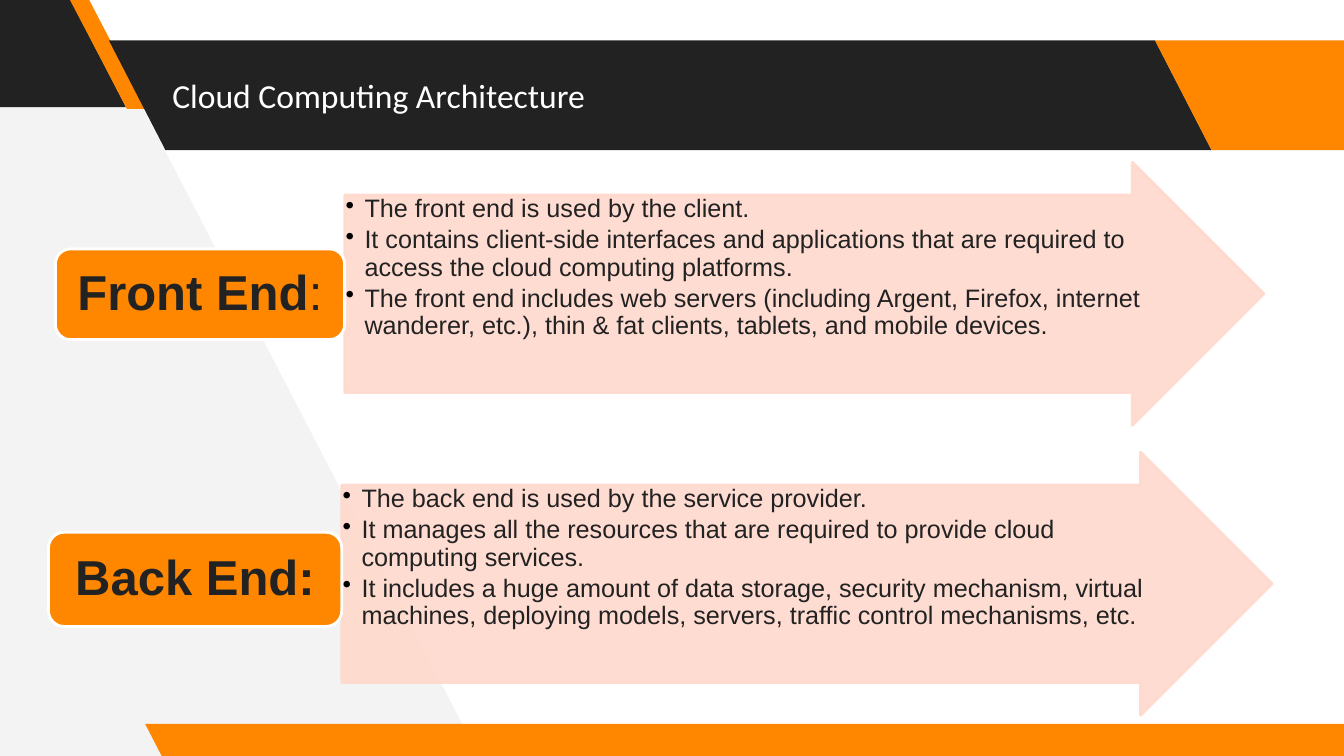
from pptx import Presentation
from pptx.dml.color import RGBColor
from pptx.enum.shapes import MSO_SHAPE as Kind
from pptx.enum.text import MSO_ANCHOR as Anchor, PP_ALIGN as Align
from pptx.oxml.ns import qn
from pptx.util import Pt
from lxml.etree import SubElement as sub

DARK, ORANGE, PEACH, GREY, WHITE = "222222", "FF8700", "FFD9CC", "F3F3F3", "FFFFFF"

FRONT = [
    "The front end is used by the client.",
    "It contains client-side interfaces and applications that are required to "
    "access the cloud computing platforms.",
    "The front end includes web servers (including Argent, Firefox, internet "
    "wanderer, etc.), thin & fat clients, tablets, and mobile devices.",
]
BACK = [
    "The back end is used by the service provider.",
    "It manages all the resources that are required to provide cloud computing services.",
    "It includes a huge amount of data storage, security mechanism, virtual "
    "machines, deploying models, servers, traffic control mechanisms, etc.",
]


def color(code):
    return RGBColor.from_string(code)


def paint(shape, fill, line=None):
    shape.shadow.inherit = False
    shape.fill.solid()
    shape.fill.fore_color.rgb = color(fill)
    if line:
        shape.line.color.rgb = color(line)
        shape.line.width = Pt(2)
    else:
        shape.line.fill.background()


def add_shape(slide, kind, box, fill, line=None):
    shape = slide.shapes.add_shape(kind, *map(Pt, box))
    paint(shape, fill, line)
    return shape


def add_slant(slide, box, fill, slope=0.515):
    """Add a parallelogram that leans to the left."""
    shape = add_shape(slide, Kind.PARALLELOGRAM, box, fill)
    shape.adjustments[0] = slope
    shape._element.spPr.find(qn("a:xfrm")).set("flipH", "1")


def add_wedge(slide):
    """Add the pale area along the left edge."""
    form = slide.shapes.build_freeform(Pt(342), Pt(540))
    form.add_line_segments([(Pt(x), Pt(y)) for x, y in [(60, -4), (-6, -4), (-2, 544)]])
    paint(form.convert_to_shape(), GREY)


def style(run, size, name, code, bold=False):
    font = run.font
    font.size, font.name, font.bold = Pt(size), name, bold
    font.color.rgb = color(code)


def set_frame(shape, inset, anchor):
    frame = shape.text_frame
    frame.word_wrap = True
    frame.vertical_anchor = anchor
    frame.margin_left = frame.margin_right = Pt(inset)
    frame.margin_top = frame.margin_bottom = Pt(inset)
    return frame


def add_box(slide, box, inset, anchor):
    return set_frame(slide.shapes.add_textbox(*map(Pt, box)), inset, anchor)


def add_title(slide, text):
    frame = add_box(slide, (116, 28.8, 706, 78.5), 7.2, Anchor.MIDDLE)
    frame.text = text
    style(frame.paragraphs[0].runs[0], 24, "Calibri", WHITE)


def add_bullet(para):
    props = para._p.get_or_add_pPr()
    props.set("marL", str(Pt(13.5)))
    props.set("indent", str(-Pt(13.5)))
    sub(sub(props, qn("a:buClr")), qn("a:srgbClr")).set("val", "000000")
    sub(props, qn("a:buChar")).set("char", "•")


def add_arrow(slide, left, top, width, items):
    high = 187.9
    arrow = add_shape(slide, Kind.RIGHT_ARROW, (left, top, width, high), PEACH, PEACH)
    arrow.adjustments[0] = 0.75
    for tone in arrow._element.spPr.iter(qn("a:srgbClr")):
        sub(tone, qn("a:alpha")).set("val", "90000")
    box = left, top + high / 8, width - 70, high * 0.75
    frame = add_box(slide, box, 0.7, Anchor.TOP)
    frame.text = "\n".join(items)
    for para in frame.paragraphs:
        para.line_spacing = 0.9
        para.space_after = Pt(2.7)
        add_bullet(para)
        style(para.runs[0], 18, "Arial", DARK)


def add_label(slide, box, text, tail=""):
    """Add a rounded label; the tail is set in regular weight."""
    shape = add_shape(slide, Kind.ROUNDED_RECTANGLE, box, ORANGE, WHITE)
    frame = set_frame(shape, 5, Anchor.MIDDLE)
    frame.text = text
    para = frame.paragraphs[0]
    para.alignment = Align.CENTER
    para.line_spacing = 0.9
    style(para.runs[0], 35, "Arial", DARK, True)
    if tail:
        run = para.add_run()
        run.text = tail
        style(run, 35, "Arial", DARK)


def main():
    deck = Presentation()
    deck.slide_width, deck.slide_height = Pt(960), Pt(540)
    slide = deck.slides.add_slide(deck.slide_layouts[6])

    add_wedge(slide)
    add_slant(slide, (-95, -2, 185, 78.5), DARK)
    add_slant(slide, (49.7, -0.7, 54.7, 78.5), ORANGE, 0.75)
    add_slant(slide, (77.8, 28.8, 787.7, 78.5), DARK)
    add_slant(slide, (825, 28.8, 185, 78.5), ORANGE)
    add_slant(slide, (103.7, 517, 878.4, 23.8), ORANGE)
    add_title(slide, "Cloud Computing Architecture")

    add_arrow(slide, 246.2, 115.9, 656.6, FRONT)
    add_label(slide, (39.6, 177.8, 206.6, 64.8), "Front End", ":")
    add_arrow(slide, 244.1, 323, 664.6, BACK)
    add_label(slide, (34.6, 380.2, 209.5, 67.3), "Back End:")

    deck.save("out.pptx")


if __name__ == "__main__":
    main()
